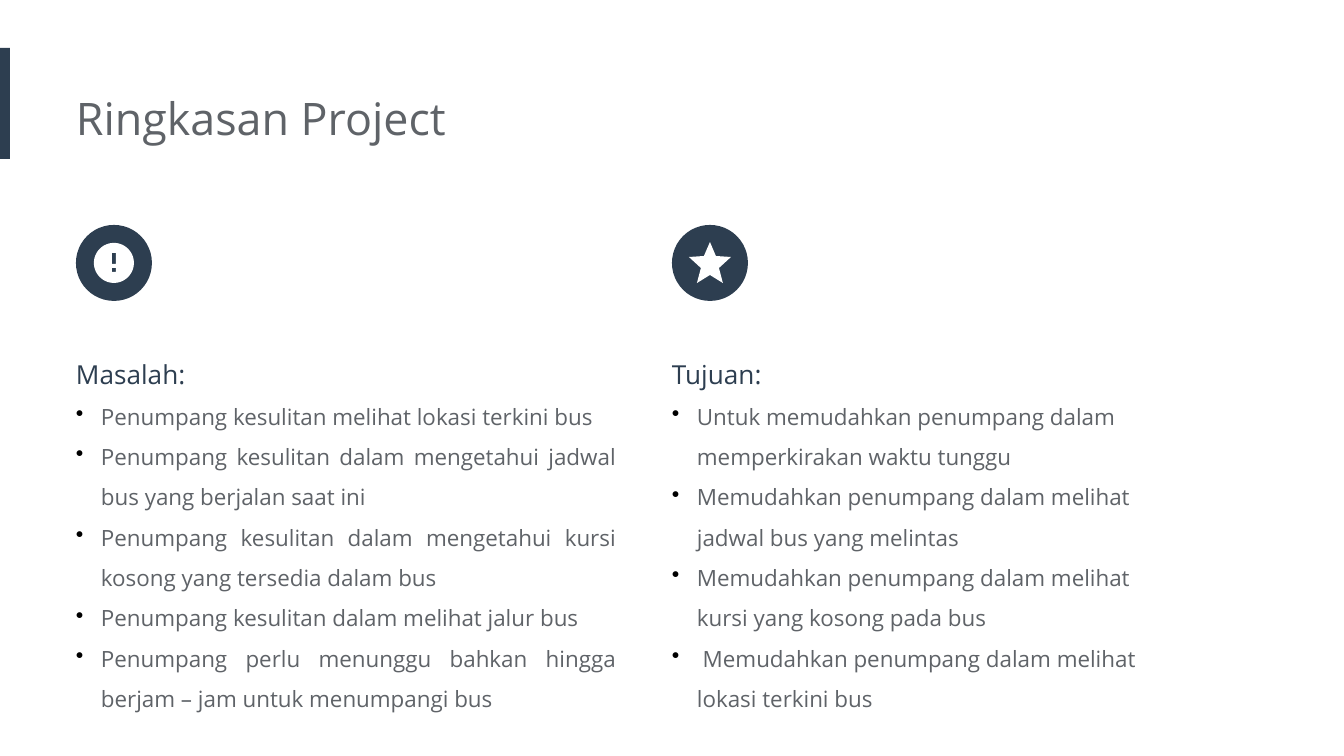
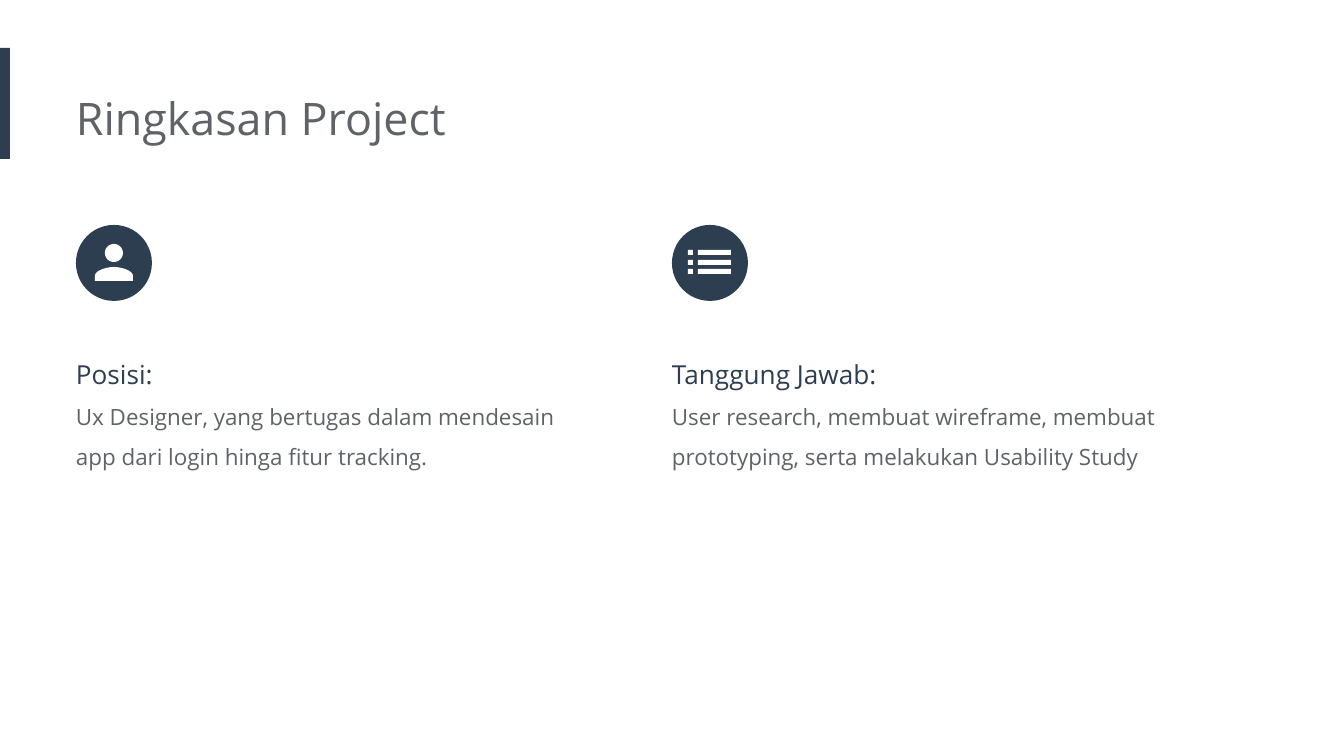
import math

from lxml import etree
from pptx import Presentation
from pptx import util as u
from pptx.dml.color import RGBColor
from pptx.enum import shapes, text
from pptx.oxml import ns

NAVY = RGBColor(0x2D, 0x3E, 0x50)
GRAY = RGBColor(0x5F, 0x63, 0x68)
BLACK = RGBColor(0, 0, 0)
WHITE = RGBColor(0xFF, 0xFF, 0xFF)
FONT = "Open Sans"
PX = 914400 / 134.4

TITLE = "Ringkasan Project"
SLIDES = [
    {
        "height": 400,
        "bullets": True,
        "columns": [
            {
                "icon": "alert",
                "heading": "Masalah:",
                "width": 554,
                "justify": True,
                "body": [
                    "Penumpang kesulitan melihat lokasi terkini bus",
                    "Penumpang kesulitan dalam mengetahui jadwal bus yang berjalan saat ini",
                    "Penumpang kesulitan dalam mengetahui kursi kosong yang tersedia dalam bus",
                    "Penumpang kesulitan dalam melihat jalur bus",
                    "Penumpang perlu menunggu bahkan hingga berjam – jam untuk menumpangi bus",
                ],
            },
            {
                "icon": "star",
                "heading": "Tujuan:",
                "body": [
                    "Untuk memudahkan penumpang dalam memperkirakan waktu tunggu",
                    "Memudahkan penumpang dalam melihat jadwal bus yang melintas",
                    "Memudahkan penumpang dalam melihat kursi yang kosong pada bus",
                    " Memudahkan penumpang dalam melihat lokasi terkini bus",
                ],
            },
        ],
    },
    {
        "height": 156,
        "bullets": False,
        "columns": [
            {
                "icon": "person",
                "heading": "Posisi:",
                "body": ["Ux Designer, yang bertugas dalam mendesain app dari login hinga fitur tracking."],
            },
            {
                "icon": "list",
                "heading": "Tanggung Jawab:",
                "body": ["User research, membuat wireframe, membuat prototyping, serta melakukan Usability Study"],
            },
        ],
    },
]

LEFT, COLUMN_PITCH, COLUMN_WIDTH = 76, 596, 507
BADGE_TOP, BADGE_SIZE = 225, 76
TEXT_TOP = 329
INDENT = 25


def px(value):
    return u.Emu(round(value * PX))


def rectangle(left, top, right, bottom):
    return [(left, top), (right, top), (right, bottom), (left, bottom)]


def circle(x, y, radius, steps=72):
    angles = [2 * math.pi * i / steps for i in range(steps)]
    return [(x + radius * math.cos(a), y + radius * math.sin(a)) for a in angles]


def bezier(a, b, c, d, steps=16):
    times = [i / steps for i in range(steps + 1)]
    return [
        tuple((1 - t) ** 3 * p + 3 * (1 - t) ** 2 * t * q + 3 * (1 - t) * t * t * r + t ** 3 * s
              for p, q, r, s in zip(a, b, c, d))
        for t in times
    ]


def mirrored(half):
    """Complete an outline whose right or left half is given."""
    return half + [(BADGE_SIZE - x, y) for x, y in reversed(half)]


# Outlines are measured from the badge's top left corner.
ICONS = {
    "alert": [circle(38, 38, 20), rectangle(36, 28, 40, 39), rectangle(36, 43, 40, 47)],
    "star": [mirrored([(38, 17), (44, 31), (59, 32), (47, 43), (51, 58), (38, 50)])],
    "person": [
        circle(38, 28, 9),
        mirrored(bezier((38, 42), (32, 42), (19, 45), (19, 51)) + [(19, 56)]),
    ],
    "list": [
        rectangle(left, top, right, top + 5)
        for top in (25, 35, 44)
        for left, right in ((16, 21), (26, 59))
    ],
}


def paint(shape, color):
    shape.shadow.inherit = False
    shape.fill.solid()
    shape.fill.fore_color.rgb = color
    shape.line.fill.background()


def add_preset(slide, kind, left, top, width, height):
    shape = slide.shapes.add_shape(kind, px(left), px(top), px(width), px(height))
    paint(shape, NAVY)


def add_badge(slide, left, icon):
    add_preset(slide, shapes.MSO_SHAPE.OVAL, left, BADGE_TOP, BADGE_SIZE, BADGE_SIZE)
    outlines = [[(px(left + x), px(BADGE_TOP + y)) for x, y in outline] for outline in ICONS[icon]]
    builder = slide.shapes.build_freeform(*outlines[0][0], scale=1.0)
    for outline in outlines:
        builder.move_to(*outline[0])
        builder.add_line_segments(outline[1:], close=True)
    paint(builder.convert_to_shape(), WHITE)


def add_text_box(slide, left, top, width, height):
    frame = slide.shapes.add_textbox(px(left), px(top), px(width), px(height)).text_frame
    frame.word_wrap = True
    frame.auto_size = text.MSO_AUTO_SIZE.SHAPE_TO_FIT_TEXT
    frame.margin_left = 0
    frame.margin_top = frame.margin_right = frame.margin_bottom = u.Inches(0.1)
    return frame


def write(paragraph, words, size, color):
    paragraph.text = words
    for run in paragraph.runs:
        run.font.name = FONT
        run.font.size = u.Pt(size)
        run.font.color.rgb = color


def add_bullet(paragraph):
    properties = paragraph._p.get_or_add_pPr()
    properties.set("marL", str(px(INDENT)))
    properties.set("indent", str(-px(INDENT)))
    color = etree.SubElement(properties, ns.qn("a:buClr"))
    etree.SubElement(color, ns.qn("a:srgbClr")).set("val", str(BLACK))
    etree.SubElement(properties, ns.qn("a:buChar")).set("char", "•")


def add_column(slide, left, column, height, bullets):
    add_badge(slide, left, column["icon"])
    frame = add_text_box(slide, left, TEXT_TOP, column.get("width", COLUMN_WIDTH), height)
    write(frame.paragraphs[0], column["heading"], 14, NAVY)
    for words in column["body"]:
        paragraph = frame.add_paragraph()
        if bullets:
            add_bullet(paragraph)
        if column.get("justify"):
            paragraph.alignment = text.PP_ALIGN.JUSTIFY
        write(paragraph, words, 12, GRAY)
    for paragraph in frame.paragraphs:
        paragraph.line_spacing = 1.5


def add_header(slide):
    add_preset(slide, shapes.MSO_SHAPE.RECTANGLE, 0, 48, 10, 111)
    frame = add_text_box(slide, LEFT, 77, 904, 82)
    write(frame.paragraphs[0], TITLE, 24, GRAY)


def main():
    presentation = Presentation()
    presentation.slide_width, presentation.slide_height = px(1344), px(756)
    for content in SLIDES:
        slide = presentation.slides.add_slide(presentation.slide_layouts[6])
        add_header(slide)
        for index, column in enumerate(content["columns"]):
            left = LEFT + index * COLUMN_PITCH
            add_column(slide, left, column, content["height"], content["bullets"])
    presentation.save("out.pptx")


if __name__ == "__main__":
    main()
